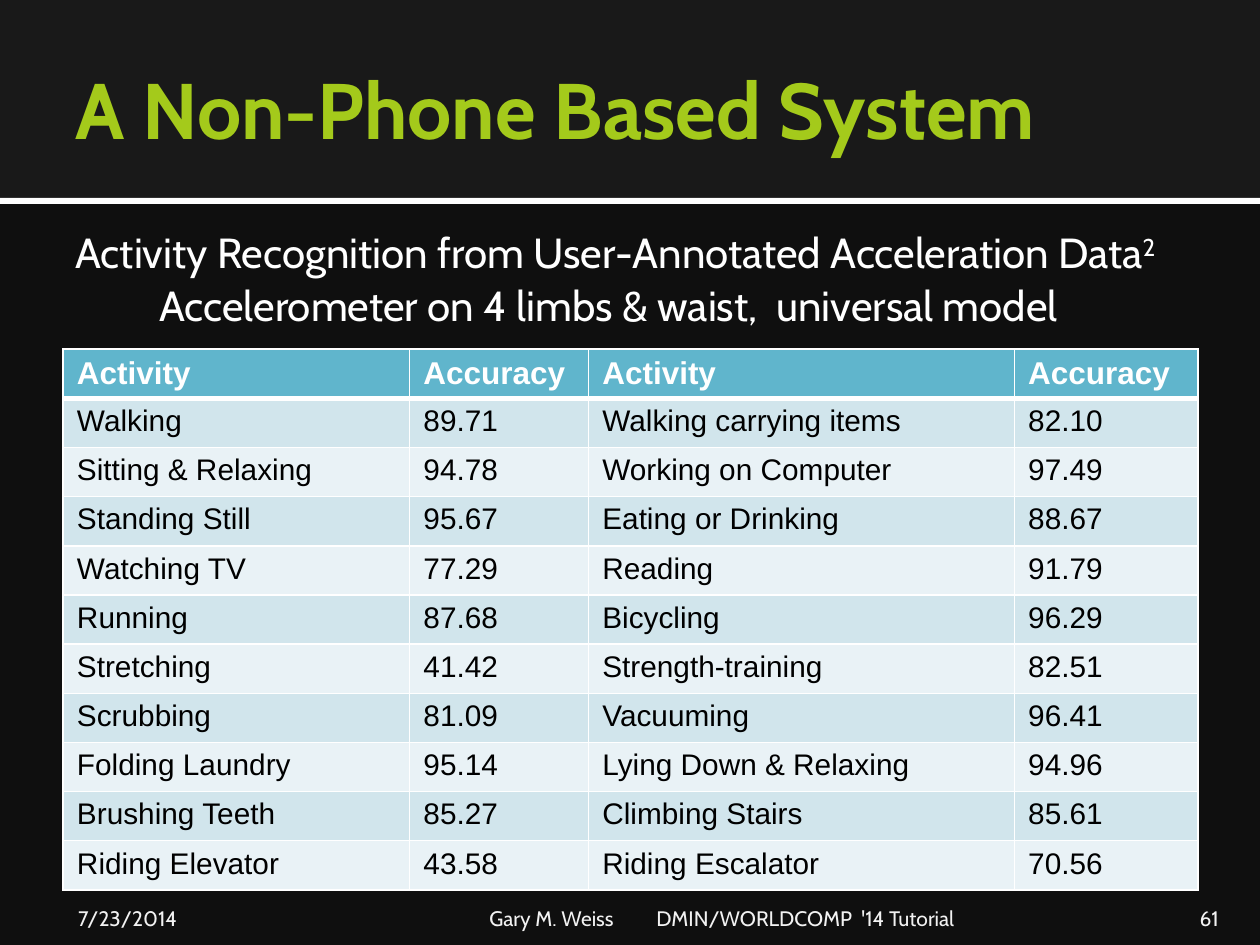
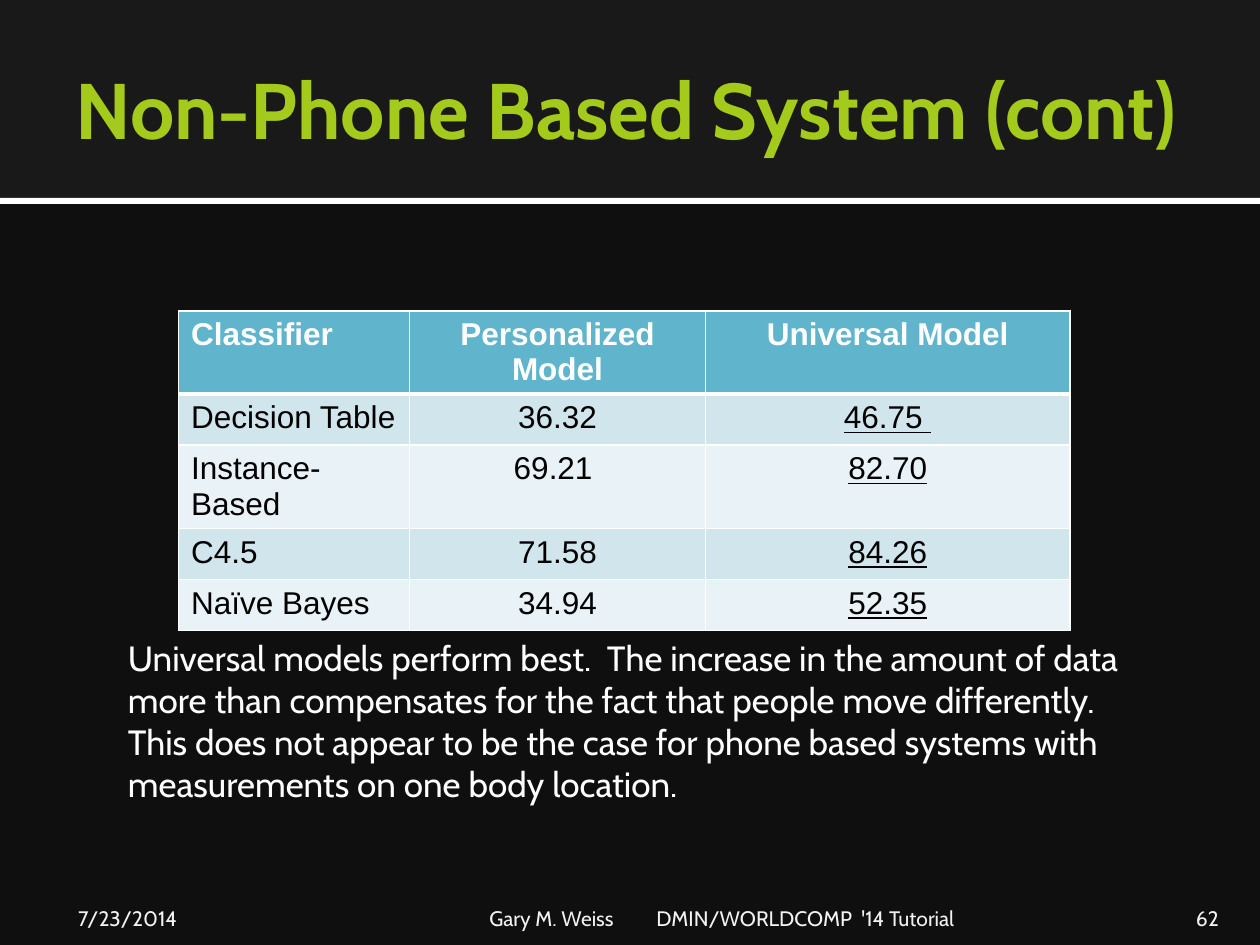
from lxml.etree import SubElement
from pptx import Presentation
from pptx.dml.color import RGBColor
from pptx.enum.shapes import MSO_SHAPE
from pptx.enum.text import MSO_ANCHOR, MSO_AUTO_SIZE, PP_ALIGN
from pptx.oxml.ns import qn
from pptx.util import Pt

# Palette
BACKGROUND = RGBColor(0x0F, 0x0F, 0x0F)
TITLE_BAND = RGBColor(0x19, 0x19, 0x19)
LIME = RGBColor(0xA4, 0xCA, 0x1B)
WHITE = RGBColor(0xFF, 0xFF, 0xFF)
BLACK = RGBColor(0x00, 0x00, 0x00)
FOOTER_GREY = RGBColor(0xF2, 0xF2, 0xF2)
HEADER_BLUE = RGBColor(0x60, 0xB5, 0xCC)
ROW_FILLS = (RGBColor(0xD1, 0xE5, 0xEC), RGBColor(0xE9, 0xF2, 0xF6))

# Text formats
TITLE = dict(name="Cabin", size=Pt(45), bold=True, color=LIME)
SUBTITLE = dict(name="Cabin", size=Pt(24), color=WHITE)
REMARK = dict(SUBTITLE, size=Pt(20))
FOOTER = dict(name="Cabin", size=Pt(12), color=FOOTER_GREY)
HEADER_CELL = dict(name="Arial", size=Pt(18), bold=True, color=WHITE)
BODY_CELL = dict(HEADER_CELL, bold=False, color=BLACK)

INSETS = (7.2, 3.6, 7.2, 3.6)
DATE = "7/23/2014"
AUTHOR, EVENT = "Gary M. Weiss", "DMIN/WORLDCOMP  '14 Tutorial"
EVENT_TAB = 95.5

ACTIVITIES = [
    ("Activity", "Accuracy", "Activity", "Accuracy"),
    ("Walking", "89.71", "Walking carrying items", "82.10"),
    ("Sitting & Relaxing", "94.78", "Working on Computer", "97.49"),
    ("Standing Still", "95.67", "Eating or Drinking", "88.67"),
    ("Watching TV", "77.29", "Reading", "91.79"),
    ("Running", "87.68", "Bicycling", "96.29"),
    ("Stretching", "41.42", "Strength-training", "82.51"),
    ("Scrubbing", "81.09", "Vacuuming", "96.41"),
    ("Folding Laundry", "95.14", "Lying Down & Relaxing", "94.96"),
    ("Brushing Teeth", "85.27", "Climbing Stairs", "85.61"),
    ("Riding Elevator", "43.58", "Riding Escalator", "70.56"),
]
CLASSIFIERS = [
    ("Classifier", "Personalized Model", "Universal Model"),
    ("Decision Table", "36.32", "46.75 "),
    ("Instance-Based", "69.21 ", "82.70"),
    ("C4.5", "71.58", "84.26"),
    ("Naïve Bayes", "34.94", "52.35"),
]


class Deck:
    """Holds the shared style and the slide being built."""

    def __init__(self):
        self.prs = Presentation()
        self.prs.slide_width, self.prs.slide_height = Pt(720), Pt(540)
        backdrop = self.prs.slide_master.background.fill
        backdrop.solid()
        backdrop.fore_color.rgb = BACKGROUND
        self.slide = None

    def start_slide(self, heading, number):
        self.slide = self.prs.slides.add_slide(self.prs.slide_layouts[5])
        self.band(113, 3.6, WHITE)
        self.band(0, 113, TITLE_BAND)
        self.title(heading)
        self.footer(number)

    def band(self, top, height, color):
        band = self.slide.shapes.add_shape(
            MSO_SHAPE.RECTANGLE, 0, Pt(top), self.prs.slide_width, Pt(height))
        band.shadow.inherit = False
        band.fill.solid()
        band.fill.fore_color.rgb = color
        band.line.fill.background()

    def title(self, heading):
        title = self.slide.shapes.title
        # Bring the title in front of the bands
        self.slide.shapes.element.append(title.element)
        title.left, title.top, title.width, title.height = map(Pt, (36, 12.2, 648, 98.6))
        self.frame(title.text_frame, (7.2, 3.6, 3.6, 3.6), MSO_ANCHOR.MIDDLE)
        self.add_words(title.text_frame.paragraphs[0], heading, TITLE, PP_ALIGN.LEFT)

    def footer(self, number):
        bottom = MSO_ANCHOR.BOTTOM
        self.text((36, 510, 168, 21.6), DATE, FOOTER, (8.6, 3.6, 3.6, 0), bottom)
        credit = self.text((276, 510, 366, 21.6), "", FOOTER, (3.6, 3.6, 3.6, 0), bottom)
        tabs = SubElement(credit._p.get_or_add_pPr(), qn("a:tabLst"))
        SubElement(tabs, qn("a:tab"), pos=str(Pt(EVENT_TAB)), algn="l")
        self.add_words(credit, f"{AUTHOR}\t{EVENT}", FOOTER)
        self.text((646, 510, 57.6, 21.6), str(number), FOOTER, (7.2, 3.6, 7.2, 0),
                  bottom, PP_ALIGN.RIGHT)

    def text(self, box, words, style, insets=INSETS, anchor=MSO_ANCHOR.TOP, align=None):
        frame = self.slide.shapes.add_textbox(*map(Pt, box)).text_frame
        self.frame(frame, insets, anchor)
        paragraph = frame.paragraphs[0]
        if words:
            self.add_words(paragraph, words, style, align)
        return paragraph

    def table(self, left, top, widths, row_height, rows, body_size, side_inset=7.2,
              centered=(), underlined=()):
        table = self.slide.shapes.add_table(
            len(rows), len(widths), Pt(left), Pt(top),
            Pt(sum(widths)), Pt(row_height * len(rows))).table
        for column, width in zip(table.columns, widths):
            column.width = Pt(width)
        for r, values in enumerate(rows):
            table.rows[r].height = Pt(row_height)
            for c, value in enumerate(values):
                cell = table.cell(r, c)
                cell.margin_left = cell.margin_right = Pt(side_inset)
                self.borders(cell, top=3 if r == 1 else 1, bottom=3 if r == 0 else 1)
                cell.fill.solid()
                cell.fill.fore_color.rgb = ROW_FILLS[(r - 1) % 2] if r else HEADER_BLUE
                style = HEADER_CELL
                if r:
                    style = dict(BODY_CELL, size=Pt(body_size), underline=c in underlined)
                self.add_words(cell.text_frame.paragraphs[0], value, style,
                               PP_ALIGN.CENTER if c in centered else PP_ALIGN.LEFT)

    @staticmethod
    def borders(cell, top, bottom):
        properties = cell._tc.get_or_add_tcPr()
        for side, weight in dict(L=1, R=1, T=top, B=bottom).items():
            line = SubElement(properties, qn(f"a:ln{side}"), w=str(Pt(weight)))
            SubElement(SubElement(line, qn("a:solidFill")), qn("a:srgbClr"), val=str(WHITE))

    @staticmethod
    def frame(frame, insets, anchor):
        left, top, right, bottom = map(Pt, insets)
        settings = dict(margin_left=left, margin_top=top, margin_right=right,
                        margin_bottom=bottom, vertical_anchor=anchor,
                        word_wrap=True, auto_size=MSO_AUTO_SIZE.NONE)
        for key, value in settings.items():
            setattr(frame, key, value)

    @staticmethod
    def add_words(paragraph, words, style, align=None):
        if align is not None:
            paragraph.alignment = align
        run = paragraph.add_run()
        run.text = words
        for key, value in style.items():
            if key == "color":
                run.font.color.rgb = value
            else:
                setattr(run.font, key, value)
        return run


def main():
    deck = Deck()

    # Accuracy per activity
    deck.start_slide("A Non-Phone Based System", 61)
    deck.table(36, 199.5, (198, 102.2, 243.4, 105), 28.1, ACTIVITIES, 17, side_inset=8)
    study = deck.text((36, 126, 654, 36),
                      "Activity Recognition from User-Annotated Acceleration Data", SUBTITLE)
    reference = deck.add_words(study, "2", SUBTITLE)
    reference._r.get_or_add_rPr().set("baseline", "30000")
    deck.text((84, 156, 558, 36),
              "Accelerometer on 4 limbs & waist,  universal model", SUBTITLE)

    # Personalized against universal models
    deck.start_slide("Non-Phone Based System (cont)", 62)
    deck.table(102, 177.6, (132, 169.2, 208.2), 29.2, CLASSIFIERS, 18,
               centered=(1, 2), underlined=(2,))
    deck.text((66, 360, 600, 104.4),
              "Universal models perform best.  The increase in the amount of data more than "
              "compensates for the fact that people move differently. This does not appear "
              "to be the case for phone based systems with measurements on one body location.",
              REMARK)

    deck.prs.save("out.pptx")


if __name__ == "__main__":
    main()
